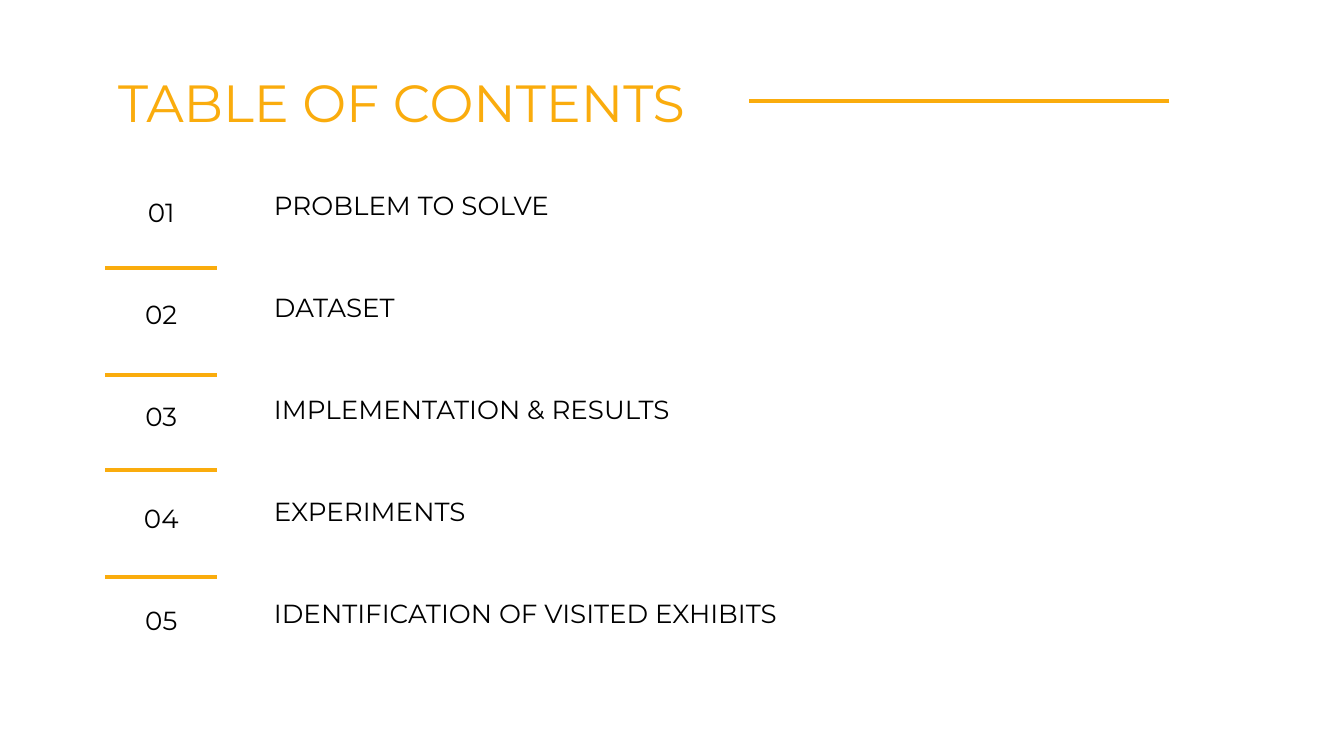
from lxml import etree
from pptx import Presentation
from pptx.dml.color import RGBColor
from pptx.enum.shapes import MSO_CONNECTOR
from pptx.enum.text import MSO_ANCHOR, PP_ALIGN
from pptx.oxml.ns import qn
from pptx.util import Pt

STRAIGHT = MSO_CONNECTOR.STRAIGHT
TOP = MSO_ANCHOR.TOP
LEFT = PP_ALIGN.LEFT
CENTER = PP_ALIGN.CENTER

COLORS = {"accent": "FAAC0D", "ink": "000000"}


class ContentsSlide:
    font = "Montserrat"
    rule_weight = 2.25

    def __init__(self, presentation):
        self.slide = presentation.slides.add_slide(presentation.slide_layouts[6])

    def text(self, wording, left, top, width, height, size=14,
             color="ink", align=LEFT, inset_top=0):
        box = self.slide.shapes.add_textbox(Pt(left), Pt(top), Pt(width), Pt(height))
        frame = box.text_frame
        frame.word_wrap = True
        frame.vertical_anchor = TOP
        frame.margin_top = Pt(inset_top)
        paragraph = frame.paragraphs[0]
        paragraph.alignment = align
        run = paragraph.add_run()
        run.text = wording
        run.font.name = self.font
        run.font.size = Pt(size)
        run.font.color.rgb = RGBColor.from_string(COLORS[color])

    def rule(self, start, end, y):
        line = self.slide.shapes.add_connector(STRAIGHT, Pt(start), Pt(y), Pt(end), Pt(y))
        line.line.color.rgb = RGBColor.from_string(COLORS["accent"])
        line.line.width = Pt(self.rule_weight)
        etree.SubElement(line._element.spPr, qn("a:effectLst"))


def main():
    presentation = Presentation()
    presentation.slide_width = Pt(720)
    presentation.slide_height = Pt(405)
    contents = ContentsSlide(presentation)

    contents.text("TABLE OF CONTENTS", 56.2, 37.4, 608.4, 44.6, size=28, color="accent")
    contents.rule(626.4, 401, 54)

    chapters = [
        ("PROBLEM TO SOLVE", 183),
        ("DATASET", 168.5),
        ("IMPLEMENTATION & RESULTS", 244.8),
        ("EXPERIMENTS", 168.5),
        ("IDENTIFICATION OF VISITED EXHIBITS", 303),
    ]
    first_top, row_pitch = 101.5, 54.7
    for index, (chapter, width) in enumerate(chapters):
        top = first_top + index * row_pitch
        contents.text(f"{index + 1:02}", 69.1, top, 34.6, 29.5, align=CENTER, inset_top=3.6)
        contents.text(chapter, 139.7, top, width, 46.8)

    for separator_y in (143.5, 200.7, 252, 309):
        contents.rule(116.2, 56.2, separator_y)

    presentation.save("out.pptx")


if __name__ == "__main__":
    main()
